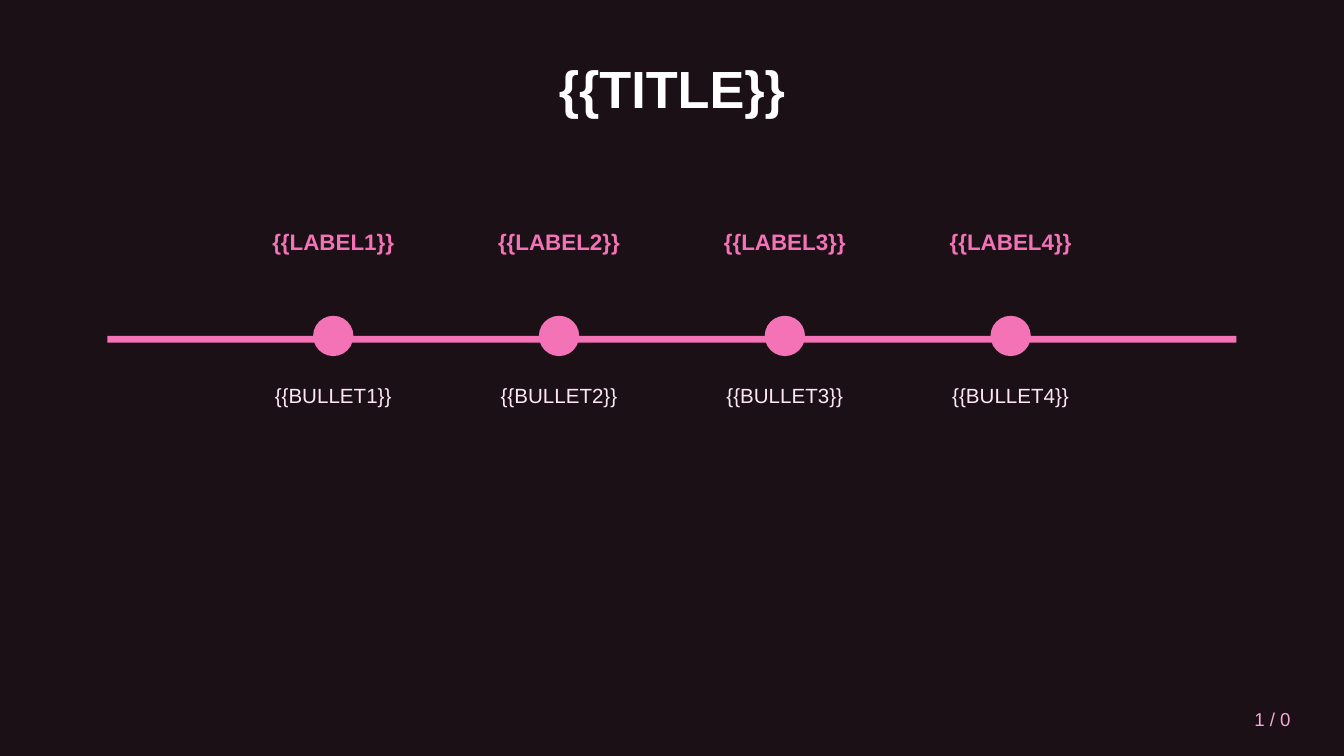
from pptx import Presentation
from pptx.dml import color
from pptx.enum import shapes, text
from pptx.util import Inches, Pt

PINK = "F472B6"
ALIGN = text.PP_ALIGN
ANCHOR = text.MSO_ANCHOR

prs = Presentation()
prs.slide_width = Inches(10)
prs.slide_height = Inches(10 * 9 / 16)
s = prs.slides.add_slide(prs.slide_layouts[6])
rgb = color.RGBColor.from_string
s.background.fill.solid()
s.background.fill.fore_color.rgb = rgb("1C1017")


def add_text(words, x, y, w, h, size, hex_color, bold=False,
             align=ALIGN.CENTER, anchor=ANCHOR.MIDDLE):
    tf = s.shapes.add_textbox(Inches(x), Inches(y), Inches(w), Inches(h)).text_frame
    tf.word_wrap = True
    tf.vertical_anchor = anchor
    tf.text = words
    p = tf.paragraphs[0]
    p.alignment = align
    r = p.runs[0]
    r.font.name = "Arial"
    r.font.size = Pt(size)
    r.font.bold = bold
    r.font.color.rgb = rgb(hex_color)


def add_pink(kind, x, y, w, h):
    sp = s.shapes.add_shape(kind, Inches(x), Inches(y), Inches(w), Inches(h))
    sp.shadow.inherit = False
    sp.fill.solid()
    sp.fill.fore_color.rgb = rgb(PINK)
    sp.line.fill.background()


add_text("{{TITLE}}", 0.5, 0.3, 9, 0.7, 28, "FFFFFF", bold=True)

left, width, count = 0.8, 8.4, 4
add_pink(shapes.MSO_SHAPE.RECTANGLE, left, 2.5, width, 0.05)

step = width / (count + 1)
for i in range(1, count + 1):
    cx = left + i * step
    add_pink(shapes.MSO_SHAPE.OVAL, cx - 0.15, 2.35, 0.3, 0.3)
    add_text(f"{{{{LABEL{i}}}}}", cx - 1, 1.5, 2, 0.6, 12, PINK, bold=True)
    add_text(f"{{{{BULLET{i}}}}}", cx - 1, 2.8, 2, 1.5, 11, "FCE7F3", anchor=ANCHOR.TOP)

add_text("1 / 0", 8.5, 5.2, 1.2, 0.3, 10, "F9A8D4", align=ALIGN.RIGHT)

prs.save("out.pptx")
